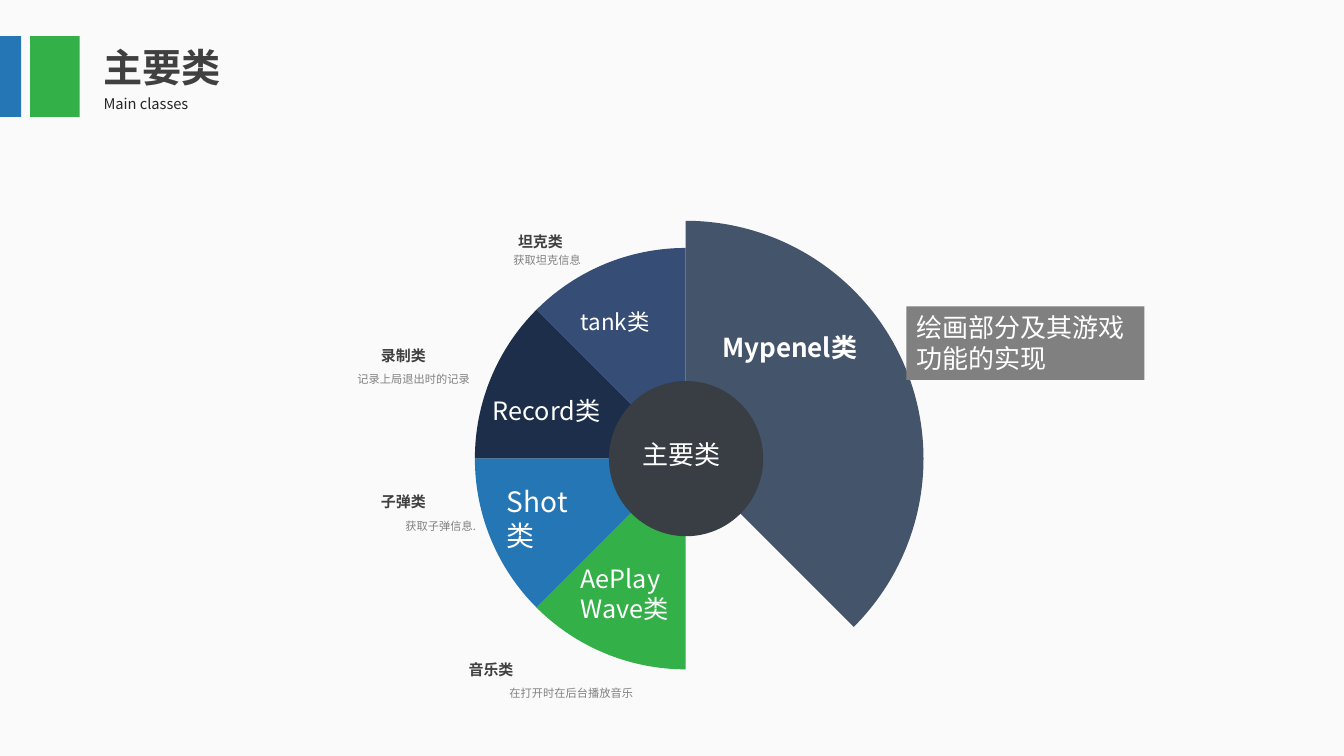
from dataclasses import dataclass
from itertools import pairwise
from math import cos, radians, sin, tan

from lxml.etree import SubElement
from pptx import Presentation
from pptx.dml.color import RGBColor
from pptx.enum.shapes import MSO_SHAPE
from pptx.enum.text import MSO_ANCHOR, MSO_AUTO_SIZE, PP_ALIGN
from pptx.oxml.ns import qn
from pptx.shapes.base import BaseShape
from pptx.slide import Slide
from pptx.util import Emu, Pt

PX = 9144
CENTRE_X, CENTRE_Y = 680, 455
ARC_STEP = 45


@dataclass(frozen=True)
class Theme:
    font: str = "Noto Sans CJK SC"
    paper: str = "FAFAFA"
    white: str = "FFFFFF"
    dark: str = "404040"
    ink: str = "262626"
    grey: str = "808080"
    green: str = "33B048"
    blue: str = "2576B5"
    navy: str = "364D76"
    midnight: str = "1D2E4B"
    slate: str = "44546A"
    hub: str = "393D44"
    title: float = 28
    subtitle: float = 10.5
    main: float = 32
    body: float = 18.6
    large: float = 20
    medium: float = 18
    small: float = 16
    heading: float = 10.7
    note: float = 8


THEME = Theme()


@dataclass(frozen=True)
class Box:
    x: int
    y: int
    w: int
    h: int

    def emu(self) -> tuple[Emu, ...]:
        return tuple(Emu(n * PX) for n in (self.x, self.y, self.w, self.h))


@dataclass(frozen=True)
class Style:
    size: float
    color: str = THEME.white
    bold: bool = False
    spacing: Pt | float | None = None
    align: PP_ALIGN = PP_ALIGN.LEFT
    baseline: int = 0


@dataclass(frozen=True)
class Label:
    text: str
    box: Box
    style: Style


@dataclass(frozen=True)
class Sector:
    start: int
    end: int
    radius: int
    color: str


@dataclass(frozen=True)
class Note:
    heading: str
    heading_at: tuple[int, int]
    detail: str
    detail_at: tuple[int, int]


HEADING = Style(THEME.heading, THEME.dark, True, Pt(16))
DETAIL = Style(THEME.note, THEME.grey, spacing=Pt(12), align=PP_ALIGN.RIGHT)

SECTORS = [
    Sector(315, 360, 209, THEME.navy),
    Sector(270, 315, 209, THEME.midnight),
    Sector(0, 135, 236, THEME.slate),
    Sector(180, 225, 209, THEME.green),
    Sector(225, 270, 209, THEME.blue),
]

LABELS = [
    Label("主要类", Box(93, 38, 360, 57), Style(THEME.title, THEME.dark, True)),
    Label("Main classes", Box(93, 86, 534, 72),
          Style(THEME.subtitle, THEME.ink, spacing=1.2)),
    Label("主要类", Box(627, 444, 134, 27), Style(THEME.body, spacing=Pt(12))),
    Label("tank类", Box(566, 301, 91, 37), Style(THEME.small)),
    Label("Record类", Box(479, 387, 148, 40), Style(THEME.medium)),
    Label("Shot类", Box(493, 476, 106, 44), Style(THEME.large)),
    Label("AePlayWave类", Box(566, 554, 114, 71), Style(THEME.medium)),
    Label("Mypenel类", Box(707, 333, 192, 32),
          Style(THEME.main, bold=True, spacing=Pt(16), baseline=-25000)),
]

NOTES = [
    Note("坦克类", (504, 221), "获取坦克信息", (339, 243)),
    Note("子弹类", (368, 479), "获取子弹信息.", (235, 507)),
    Note("音乐类", (455, 646), "在打开时在后台播放音乐", (391, 673)),
    Note("录制类", (368, 334), "记录上局退出时的记录", (229, 361)),
]


def paint(sp: BaseShape, color: str) -> None:
    sp.shadow.inherit = False
    sp.fill.solid()
    sp.fill.fore_color.rgb = RGBColor.from_string(color)
    sp.line.fill.background()


def write(sp: BaseShape, text: str, style: Style) -> None:
    tf = sp.text_frame
    tf.word_wrap = True
    tf.auto_size = MSO_AUTO_SIZE.SHAPE_TO_FIT_TEXT
    tf.vertical_anchor = MSO_ANCHOR.TOP
    p = tf.paragraphs[0]
    p.text = text
    p.alignment = style.align
    p.line_spacing = style.spacing
    p.font.size = Pt(style.size)
    p.font.bold = style.bold
    p.font.color.rgb = RGBColor.from_string(style.color)
    p.font.name = THEME.font
    props = p._p.pPr.find(qn("a:defRPr"))
    SubElement(props, qn("a:ea")).set("typeface", THEME.font)
    if style.baseline:
        props.set("baseline", str(style.baseline))


def add_label(s: Slide, label: Label) -> None:
    write(s.shapes.add_textbox(*label.box.emu()), label.text, label.style)


def add_block(s: Slide, kind: MSO_SHAPE, box: Box, color: str) -> BaseShape:
    sp = s.shapes.add_shape(kind, *box.emu())
    paint(sp, color)
    return sp


def round_arc(sp: BaseShape) -> None:
    points = list(sp._element.iter(qn("a:pt")))
    (cx, cy), *arc = [(int(pt.get("x")), int(pt.get("y"))) for pt in points]
    k = 4 / 3 * tan(radians(ARC_STEP) / 4)
    for pt, ((x0, y0), (x1, y1)) in zip(points[2:], pairwise(arc)):
        segment = pt.getparent()
        curve = segment.makeelement(qn("a:cubicBezTo"))
        for x, y in (
            (x0 - k * (y0 - cy), y0 + k * (x0 - cx)),
            (x1 + k * (y1 - cy), y1 - k * (x1 - cx)),
            (x1, y1),
        ):
            SubElement(curve, qn("a:pt"), x=str(round(x)), y=str(round(y)))
        segment.getparent().replace(segment, curve)


def add_sector(s: Slide, sector: Sector) -> None:
    angles = [radians(a) for a in range(sector.start, sector.end + 1, ARC_STEP)]
    arc = [(round((CENTRE_X + sector.radius * sin(a)) * PX),
            round((CENTRE_Y - sector.radius * cos(a)) * PX)) for a in angles]
    outline = s.shapes.build_freeform(CENTRE_X * PX, CENTRE_Y * PX)
    outline.add_line_segments(arc, close=True)
    sp = outline.convert_to_shape()
    round_arc(sp)
    paint(sp, sector.color)


def add_note(s: Slide, note: Note) -> None:
    add_label(s, Label(note.detail, Box(*note.detail_at, 247, 27), DETAIL))
    add_label(s, Label(note.heading, Box(*note.heading_at, 187, 32), HEADING))


def main() -> None:
    prs = Presentation()
    prs.slide_width, prs.slide_height = Emu(1333 * PX), Emu(750 * PX)
    s = prs.slides.add_slide(prs.slide_layouts[6])
    s.background.fill.solid()
    s.background.fill.fore_color.rgb = RGBColor.from_string(THEME.paper)
    add_block(s, MSO_SHAPE.RECTANGLE, Box(30, 36, 49, 80), THEME.green)
    add_block(s, MSO_SHAPE.RECTANGLE, Box(0, 36, 21, 80), THEME.blue)
    for sector in SECTORS:
        add_sector(s, sector)
    add_block(s, MSO_SHAPE.OVAL, Box(604, 378, 153, 154), THEME.hub)
    for label in LABELS:
        add_label(s, label)
    callout = add_block(s, MSO_SHAPE.RECTANGLE, Box(899, 304, 236, 73), THEME.grey)
    write(callout, "绘画部分及其游戏功能的实现", Style(THEME.body))
    for note in NOTES:
        add_note(s, note)
    prs.save("out.pptx")


if __name__ == "__main__":
    main()
